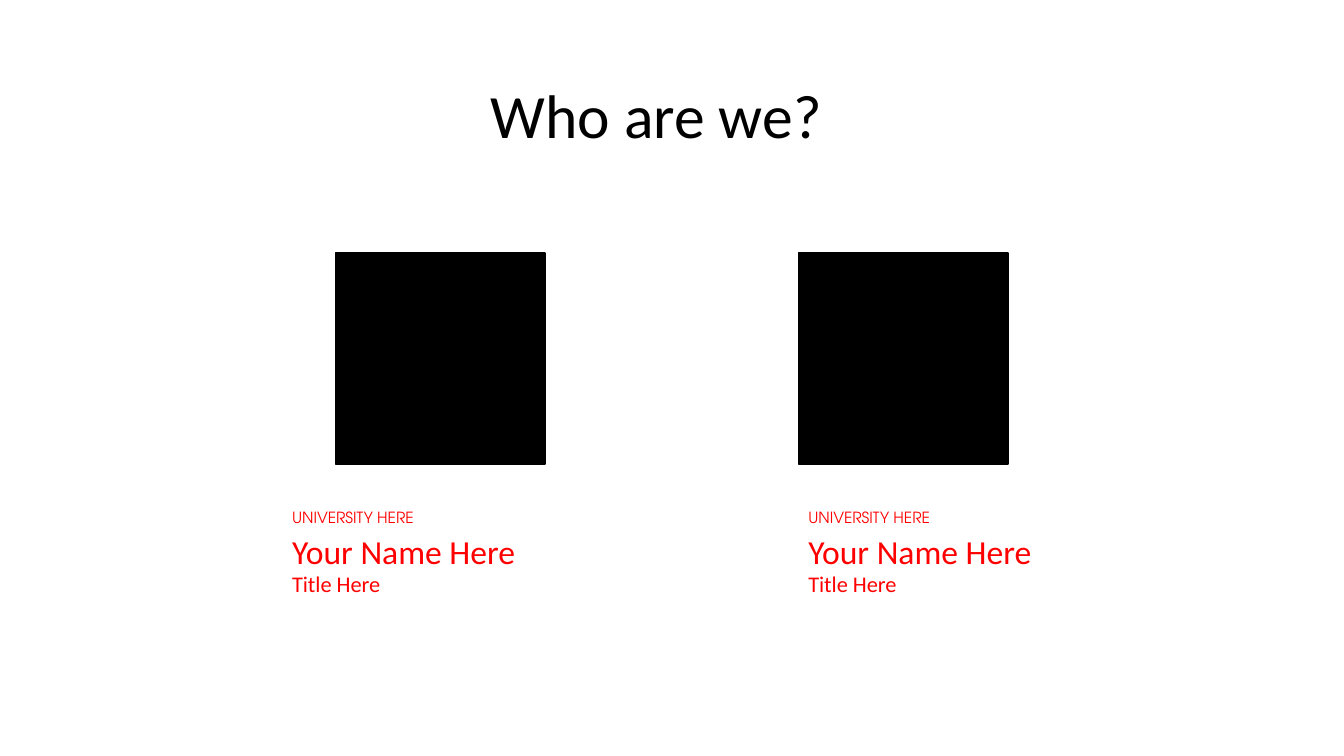
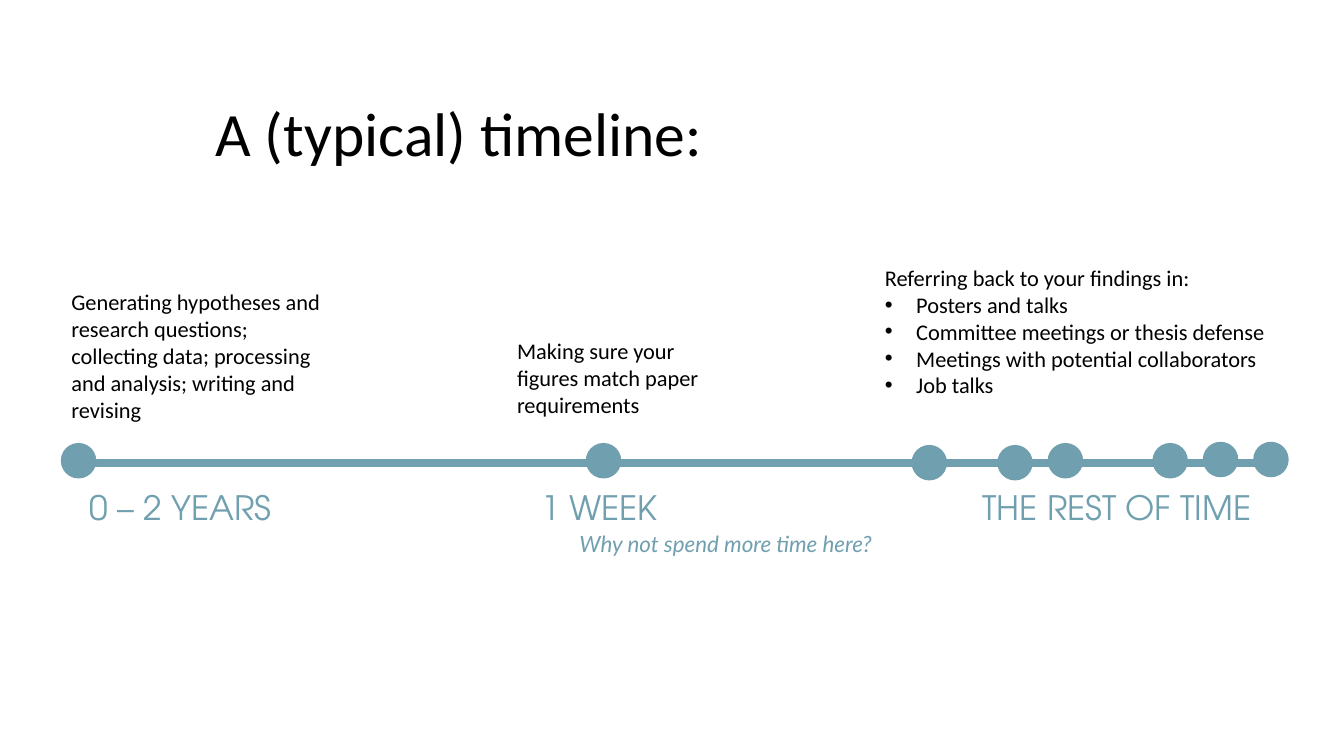
from lxml.etree import SubElement
from pptx import Presentation
from pptx.dml.color import RGBColor
from pptx.enum.shapes import MSO_CONNECTOR, MSO_SHAPE
from pptx.enum.text import MSO_ANCHOR, PP_ALIGN
from pptx.oxml.ns import qn
from pptx.util import Cm, Pt

BLACK = "000000"
RED = "FF0000"
TEAL = "70A0AF"
BODY_FONT = "Calibri"
LABEL_FONT = "TeX Gyre Adventor"
NOTE_FONT = "Lato"


def color(value):
    return RGBColor.from_string(value)


def add_bullet(paragraph):
    properties = paragraph._p.get_or_add_pPr()
    properties.set("marL", str(Cm(0.79)))
    properties.set("indent", str(-Cm(0.79)))
    SubElement(properties, qn("a:buFont")).set("typeface", "Arial")
    SubElement(properties, qn("a:buChar")).set("char", "•")


def add_text(slide, box, lines, size, font=BODY_FONT, fill=BLACK,
             italic=False, wrap=True, bullets_from=None):
    shape = slide.shapes.add_textbox(*map(Cm, box))
    text_frame = shape.text_frame
    text_frame.word_wrap = wrap
    text_frame.text = "\n".join(lines)
    for index, paragraph in enumerate(text_frame.paragraphs):
        if bullets_from is not None and index >= bullets_from:
            add_bullet(paragraph)
        paragraph.alignment = PP_ALIGN.LEFT
        for run in paragraph.runs:
            run.font.name = font
            run.font.size = Pt(size)
            run.font.italic = italic
            run.font.color.rgb = color(fill)
    return shape


def add_title(slide, box, text):
    text_frame = add_text(slide, box, [text], 44).text_frame
    text_frame.vertical_anchor = MSO_ANCHOR.MIDDLE
    text_frame.paragraphs[0].line_spacing = 0.9


def add_solid(slide, kind, box, fill):
    shape = slide.shapes.add_shape(kind, *map(Cm, box))
    shape.shadow.inherit = False
    shape.fill.solid()
    shape.fill.fore_color.rgb = color(fill)
    shape.line.color.rgb = color(fill)
    shape.line.width = Pt(1)


def add_axis(slide, left, right, top):
    connector = slide.shapes.add_connector(
        MSO_CONNECTOR.STRAIGHT, Cm(left), Cm(top), Cm(right), Cm(top))
    connector.line.color.rgb = color(TEAL)
    connector.line.width = Pt(6)
    SubElement(connector._element.spPr, qn("a:effectLst"))


def add_person(slide, portrait_left, text_left):
    add_solid(slide, MSO_SHAPE.RECTANGLE, (portrait_left, 6.38, 5.28, 5.31), BLACK)
    for text, top, height, size, font in (
        ("UNIVERSITY HERE", 12.67, 0.74, 11, LABEL_FONT),
        ("Your Name Here", 13.26, 1.27, 24, BODY_FONT),
        ("Title Here", 14.25, 0.94, 16, BODY_FONT),
    ):
        add_text(slide, (text_left, top, 9.17, height), [text], size, font, RED)


def build_people(slide):
    add_title(slide, (12.12, 1.14, 9.63, 3.68), "Who are we?")
    add_person(slide, 8.46, 7.11)
    add_person(slide, 20.12, 20.12)


def build_timeline(slide):
    add_title(slide, (5.18, 1.6, 23.52, 3.68), "A (typical) timeline:")
    add_axis(slide, 1.96, 32.08, 11.66)

    for text, left, width in (
        ("0 – 2 YEARS", 2.01, 5.28),
        ("1 WEEK", 13.39, 3.66),
        ("THE REST OF TIME", 24.51, 7.54),
    ):
        add_text(slide, (left, 12.14, width, 1.27), [text], 24, LABEL_FONT, TEAL,
                 wrap=False)

    add_text(slide, (1.55, 7.14, 7.04, 3.68),
             ["Generating hypotheses and research questions; collecting data; "
              "processing and analysis; writing and revising"], 16)
    add_text(slide, (12.78, 8.38, 5.77, 2.31),
             ["Making sure your figures match paper requirements"], 16)
    add_text(slide, (22.05, 6.53, 11.46, 3.68),
             ["Referring back to your findings in:",
              "Posters and talks",
              "Committee meetings or thesis defense",
              "Meetings with potential collaborators",
              "Job talks"], 16, bullets_from=1)

    for left, top in (
        (1.55, 11.18), (14.78, 11.18), (22.99, 11.23), (25.15, 11.23),
        (26.42, 11.18), (29.06, 11.18), (30.33, 11.15), (31.6, 11.15),
    ):
        add_solid(slide, MSO_SHAPE.OVAL, (left, top, 0.86, 0.86), TEAL)

    add_text(slide, (14.35, 13.23, 8.2, 0.94), ["Why not spend more time here?"],
             16, NOTE_FONT, TEAL, italic=True)


def main():
    presentation = Presentation()
    presentation.slide_width = Cm(33.87)
    presentation.slide_height = Cm(19.05)
    blank_layout = presentation.slide_layouts[6]
    for build in (build_people, build_timeline):
        build(presentation.slides.add_slide(blank_layout))
    presentation.save("out.pptx")


if __name__ == "__main__":
    main()
